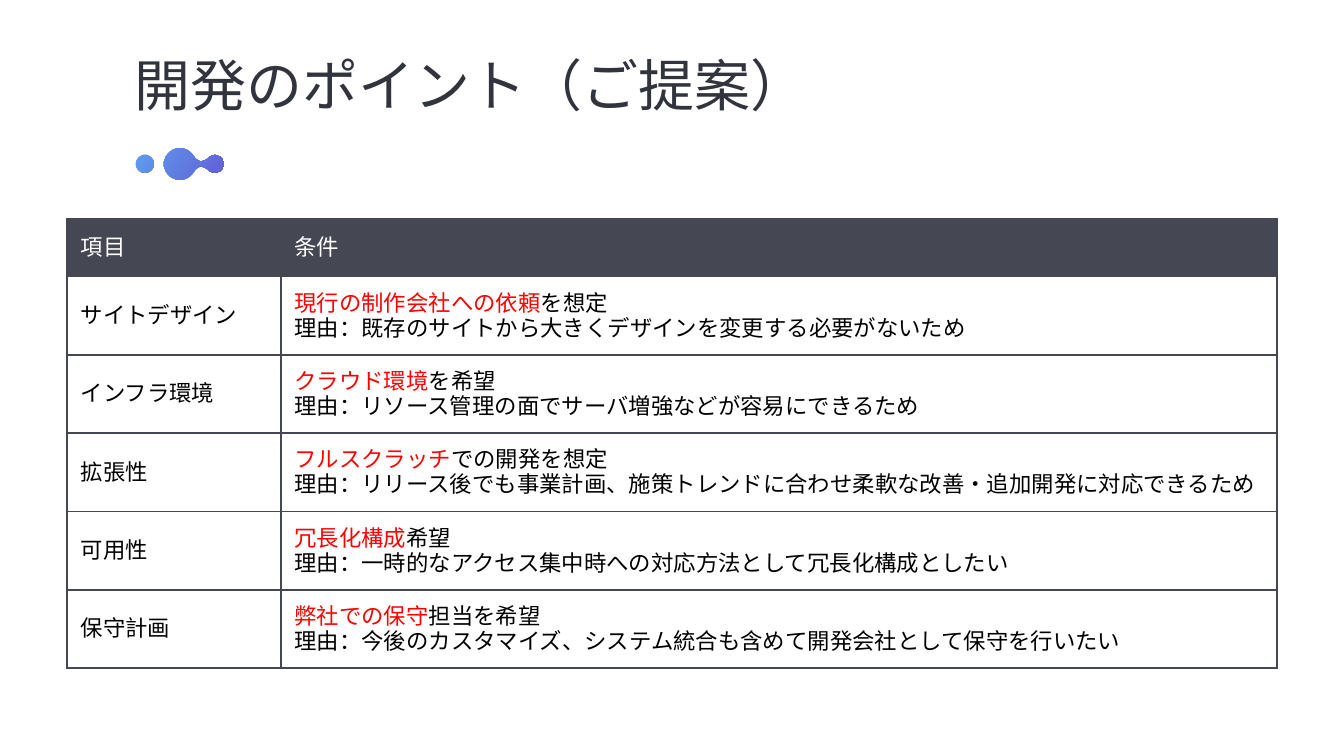
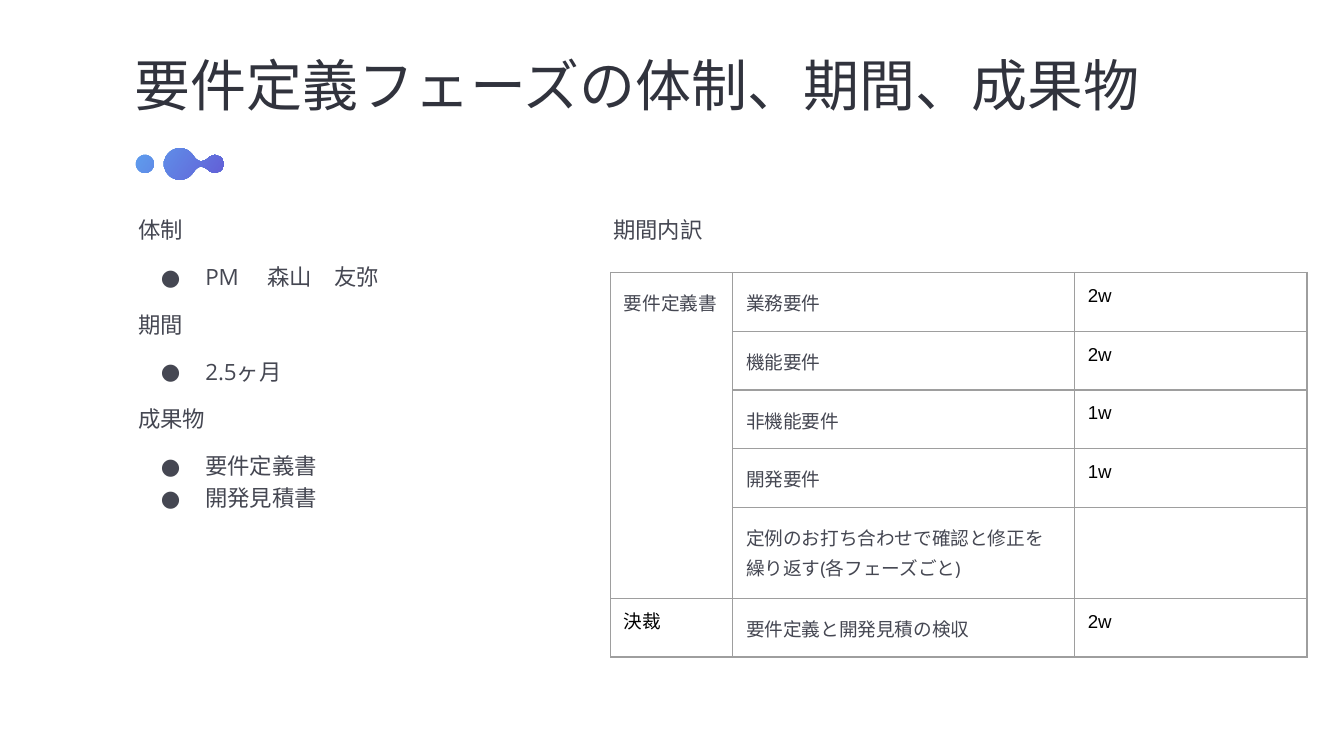
"""Build two slides on development points and the requirements phase."""
from math import cos, radians, sin

from lxml.etree import SubElement as Sub
from pptx import Presentation
from pptx.dml.color import RGBColor
from pptx.enum.text import MSO_ANCHOR as Anchor
from pptx.oxml.ns import qn
from pptx.util import Cm, Pt

INK = RGBColor(0x31, 0x33, 0x3D)
SLATE = RGBColor(0x45, 0x47, 0x52)
GRAY = RGBColor(0x9E, 0x9E, 0x9E)
WHITE = RGBColor(0xFF, 0xFF, 0xFF)
BLACK = RGBColor(0, 0, 0)
RED = RGBColor(0xFF, 0, 0)
SKY = RGBColor(0x5E, 0x9E, 0xEE)
VIOLET = RGBColor(0x63, 0x5E, 0xD6)

HEAD = {"name": "Lato", "size": Pt(30), "color": INK}
BODY = {"name": "Open Sans", "size": Pt(12), "color": SLATE}
NOTE = {**BODY, "size": Pt(10)}
PLAIN = {"name": "Arial", "size": Pt(12), "color": BLACK}
HOT = {**PLAIN, "color": RED}
LABEL = {**PLAIN, "color": WHITE}
WEEK = {**PLAIN, "size": Pt(10)}
SIDES = ("margin_left", "margin_top", "margin_right", "margin_bottom")
PAD = {side: Cm(0.05) for side in SIDES}


def write(para, text, form):
    """Add a run in the given format."""
    run = para.add_run()
    run.text = text
    for key, value in form.items():
        if key == "color":
            run.font.color.rgb = value
        else:
            setattr(run.font, key, value)
    Sub(run._r.get_or_add_rPr(), qn("a:ea"), typeface=form["name"])


def grid(slide, left, top, cols, rows, line, width):
    """Add a bare table with ruled cells."""
    frame = slide.shapes.add_table(len(rows), len(cols), left, top, sum(cols), sum(rows))
    table = frame.table
    table.first_row = table.horz_banding = False
    for col, size in zip(table.columns, cols):
        col.width = size
    for row, size in zip(table.rows, rows):
        row.height = size
    for cell in table.iter_cells():
        props = cell._tc.get_or_add_tcPr()
        for tag in ("a:lnL", "a:lnR", "a:lnT", "a:lnB"):
            edge = Sub(props, qn(tag), w=str(Pt(width)))
            Sub(Sub(edge, qn("a:solidFill")), qn("a:srgbClr"), val=str(line))
        cell.fill.background()
    return table


deck = Presentation()
deck.slide_width, deck.slide_height = Cm(25.4), Cm(14.29)

arcs = []
for x, size, start, end in ((274, 17, 0, 350), (340, 30, 30, 330), (406, 17, 215, 505)):
    turns = [radians(a) for a in range(start, end + 1, 10)]
    arcs.append([(x + size * cos(a), 310 + size * sin(a)) for a in turns])
dot, big, tip = arcs
neck = [(370, 300), (375, 304), (381, 305), (387, 303)]
under = [(x, 620 - y) for x, y in reversed(neck)]
blob = big + neck + tip + under

slides = []
for title, wide in (("開発のポイント（ご提案）", 13.08), ("要件定義フェーズの体制、期間、成果物", 20.02)):
    slide = deck.slides.add_slide(deck.slide_layouts[6])
    slides.append(slide)
    frame = slide.shapes.add_textbox(Cm(2.49), Cm(0.91), Cm(wide), Cm(1.35)).text_frame
    for key, value in {**PAD, "word_wrap": True, "vertical_anchor": Anchor.MIDDLE}.items():
        setattr(frame, key, value)
    write(frame.paragraphs[0], title, HEAD)

    pen = slide.shapes.build_freeform(*blob[0], scale=Cm(0.01))
    pen.add_line_segments(blob[1:], close=True)
    pen.move_to(*dot[0])
    pen.add_line_segments(dot[1:], close=True)
    mark = pen.convert_to_shape()
    mark.shadow.inherit = False
    mark.line.fill.background()
    mark.fill.gradient()
    mark.fill.gradient_angle = 326
    for stop, color, place in zip(mark.fill.gradient_stops, (SKY, VIOLET), (0, 1)):
        stop.color.rgb = color
        stop.position = place
points, phase = slides

terms = [
    ("サイトデザイン", "現行の制作会社への依頼", "を想定",
     "既存のサイトから大きくデザインを変更する必要がないため"),
    ("インフラ環境", "クラウド環境", "を希望",
     "リソース管理の面でサーバ増強などが容易にできるため"),
    ("拡張性", "フルスクラッチ", "での開発を想定",
     "リリース後でも事業計画、施策トレンドに合わせ柔軟な改善・追加開発に対応できるため"),
    ("可用性", "冗長化構成", "希望",
     "一時的なアクセス集中時への対応方法として冗長化構成としたい"),
    ("保守計画", "弊社での保守", "担当を希望",
     "今後のカスタマイズ、システム統合も含めて開発会社として保守を行いたい"),
]
table = grid(points, Cm(1.27), Cm(4.14), [Cm(4.04), Cm(18.82)],
             [Cm(1.09)] + [Cm(1.48)] * len(terms), SLATE, 1)
for cell in table.iter_cells():
    cell.vertical_anchor = Anchor.MIDDLE
    cell.fill.solid()
    cell.fill.fore_color.rgb = WHITE
for col, text in enumerate(("項目", "条件")):
    cell = table.cell(0, col)
    cell.fill.fore_color.rgb = SLATE
    write(cell.text_frame.paragraphs[0], text, LABEL)
for row, (item, key, rest, why) in enumerate(terms, 1):
    write(table.cell(row, 0).text_frame.paragraphs[0], item, PLAIN)
    frame = table.cell(row, 1).text_frame
    write(frame.paragraphs[0], key, HOT)
    write(frame.paragraphs[0], rest, PLAIN)
    write(frame.add_paragraph(), "理由：" + why, PLAIN)

plan = [
    ("体制", ["PM 　森山　友弥"]),
    ("期間", ["2.5ヶ月"]),
    ("成果物", ["要件定義書", "開発見積書"]),
]
for left, high, groups in ((2.56, 6.55, plan), (11.54, 1.19, [("期間内訳", [])])):
    frame = phase.shapes.add_textbox(Cm(left), Cm(3.94), Cm(8.81), Cm(high)).text_frame
    for key, value in {**PAD, "word_wrap": True}.items():
        setattr(frame, key, value)
    for rank, (name, items) in enumerate(groups):
        para = frame.add_paragraph() if rank else frame.paragraphs[0]
        if rank:
            para.space_before = Pt(8)
        write(para, name, BODY)
        for order, item in enumerate(items):
            para = frame.add_paragraph()
            props = para._p.get_or_add_pPr()
            props.set("marL", str(Cm(1.27)))
            props.set("indent", str(Cm(-0.84)))
            Sub(Sub(props, qn("a:buClr")), qn("a:srgbClr"), val=str(SLATE))
            Sub(props, qn("a:buFont"), typeface=BODY["name"])
            Sub(props, qn("a:buChar"), char="●")
            para.space_before = Pt(0 if order else 8)
            write(para, item, BODY)
    for para in frame.paragraphs:
        para.line_spacing = 1.2

tasks = [
    ("要件定義書", "業務要件", "2w"),
    ("", "機能要件", "2w"),
    ("", "非機能要件", "1w"),
    ("", "開発要件", "1w"),
    ("", "定例のお打ち合わせで確認と修正を繰り返す(各フェーズごと)", ""),
    ("決裁", "要件定義と開発見積の検収", "2w"),
]
table = grid(phase, Cm(11.54), Cm(5.15), [Cm(2.31), Cm(6.46), Cm(4.39)],
             [Cm(1.72 if len(task[1]) > 20 else 1.11) for task in tasks], GRAY, 0.75)
table.cell(0, 0).merge(table.cell(4, 0))
for row, texts in enumerate(tasks):
    for col, text in enumerate(texts):
        cell = table.cell(row, col)
        for side in SIDES:
            setattr(cell, side, Cm(0.25))
        if not text:
            continue
        para = cell.text_frame.paragraphs[0]
        calm = col == 2 or text == "決裁"
        if not calm:
            para.line_spacing = 1.2
        write(para, text, WEEK if calm else NOTE)

deck.save("out.pptx")
